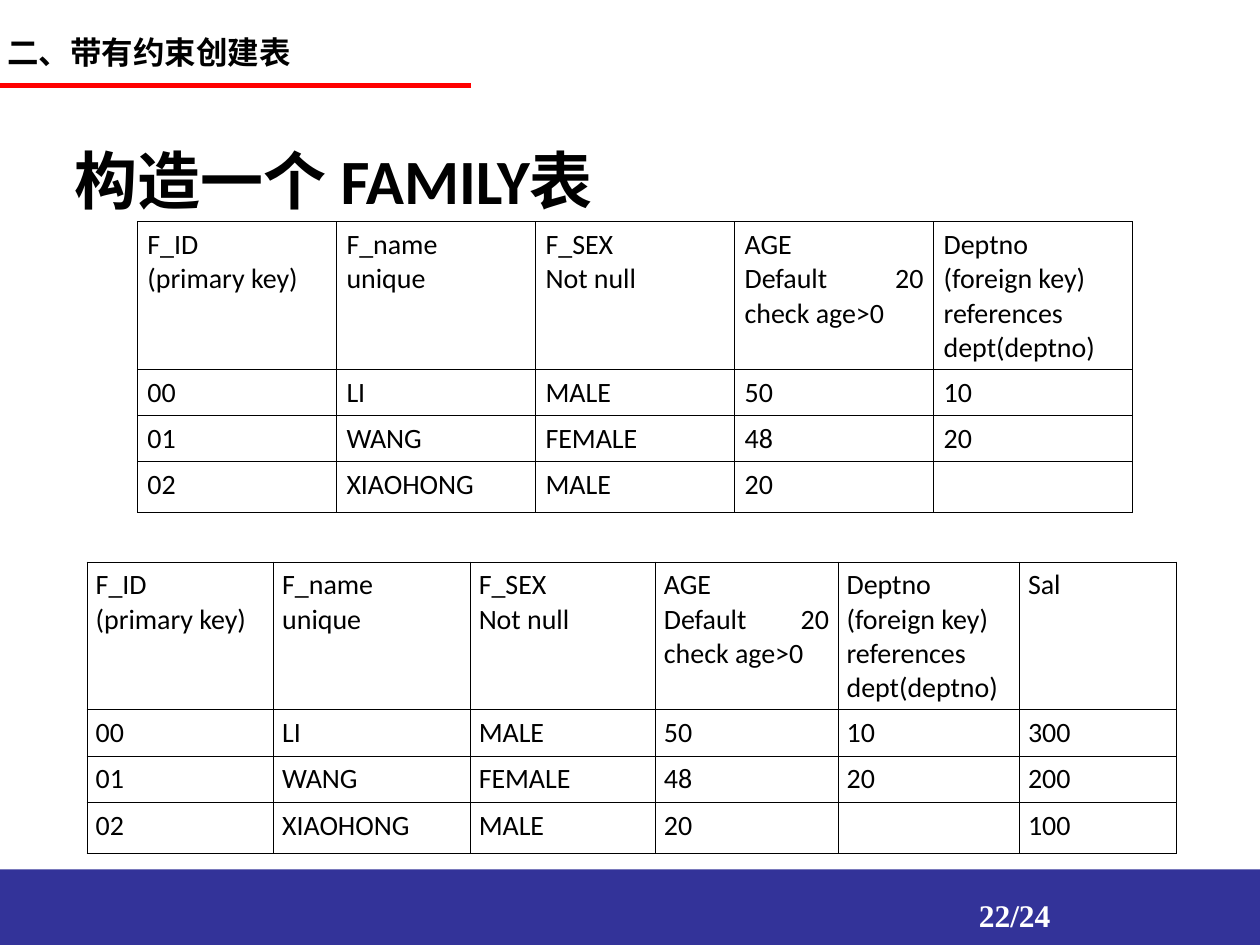
from lxml.etree import SubElement
from pptx import Presentation
from pptx.dml.color import RGBColor
from pptx.enum.shapes import MSO_CONNECTOR, MSO_SHAPE
from pptx.enum.text import MSO_ANCHOR, MSO_AUTO_SIZE, PP_ALIGN
from pptx.oxml.ns import qn
from pptx.util import Inches, Pt

NAVY = RGBColor(0x33, 0x33, 0x99)
RED = RGBColor(0xFF, 0x00, 0x00)
BLACK = RGBColor(0x00, 0x00, 0x00)
WHITE = RGBColor(0xFF, 0xFF, 0xFF)

TITLE_FORMAT = {"name": "Calibri", "size": Pt(36), "bold": True}
SECTION_FORMAT = {"name": "Arial", "size": Pt(18), "bold": True}
NUMBER_FORMAT = {"name": "Times New Roman", "size": Pt(18), "bold": True}
CELL_FORMAT = {"name": "Calibri", "size": Pt(16), "bold": False}

FAMILY_ROWS = [
    ["F_ID\n(primary key)", "F_name\nunique", "F_SEX\nNot null",
     "AGE\nDefault 20 check age>0",
     "Deptno\n(foreign key)\nreferences dept(deptno)"],
    ["00", "LI", "MALE", "50", "10"],
    ["01", "WANG", "FEMALE", "48", "20"],
    ["02", "XIAOHONG", "MALE", "20", ""],
]
SALARIES = ["Sal", "300", "200", "100"]


def add_span(para, text, formats, color):
    """Add one formatted run to a paragraph."""
    span = para.add_run()
    span.text = text
    for name, value in formats.items():
        setattr(span.font, name, value)
    span.font.color.rgb = color


def place_title(page, text, left, top, width, height):
    """Move and format the title placeholder."""
    title = page.shapes.title
    title.left, title.top, title.width, title.height = left, top, width, height
    frame = title.text_frame
    frame.word_wrap = False
    frame.auto_size = MSO_AUTO_SIZE.SHAPE_TO_FIT_TEXT
    frame.vertical_anchor = MSO_ANCHOR.MIDDLE
    frame.paragraphs[0].alignment = PP_ALIGN.LEFT
    add_span(frame.paragraphs[0], text, TITLE_FORMAT, BLACK)


def add_label(page, text, formats, color, left, top, width, height):
    """Add a wrapping single-paragraph text box."""
    box = page.shapes.add_textbox(left, top, width, height)
    box.text_frame.word_wrap = True
    add_span(box.text_frame.paragraphs[0], text, formats, color)


def add_section_header(page, text, left, top, width, height):
    """Add the section name and the red rule under it."""
    add_label(page, text, SECTION_FORMAT, BLACK, left, top, width, height)
    rule_top = top + Inches(0.47)
    rule = page.shapes.add_connector(
        MSO_CONNECTOR.STRAIGHT, 0, rule_top, Inches(3.74), rule_top)
    rule.line.color.rgb = RED
    rule.line.width = Pt(3)
    SubElement(rule._element.spPr, qn("a:effectLst"))


def add_footer(page, number, left, top, width, height):
    """Add the navy band with the page number."""
    band = page.shapes.add_shape(MSO_SHAPE.RECTANGLE, left, top, width, height)
    band.shadow.inherit = False
    band.fill.solid()
    band.fill.fore_color.rgb = NAVY
    band.line.fill.background()
    number_width = Inches(2.33)
    add_label(page, number, NUMBER_FORMAT, WHITE, left + width - number_width,
              top + Inches(0.16), number_width, Inches(0.52))


def add_borders(cell):
    """Draw a thin black line on each side of a cell."""
    properties = cell._tc.get_or_add_tcPr()
    for side in ("a:lnL", "a:lnR", "a:lnT", "a:lnB"):
        line = SubElement(properties, qn(side), w=str(Pt(0.45)))
        fill = SubElement(line, qn("a:solidFill"))
        SubElement(fill, qn("a:srgbClr"), val=str(BLACK))


def fill_cell(cell, text, side_margin):
    """Write justified lines into a bordered cell without fill."""
    cell.margin_left = cell.margin_right = side_margin
    add_borders(cell)
    cell.fill.background()
    frame = cell.text_frame
    for index, line in enumerate(text.split("\n")):
        para = frame.add_paragraph() if index else frame.paragraphs[0]
        para.alignment = PP_ALIGN.JUSTIFY
        add_span(para, line, CELL_FORMAT, BLACK)


def add_family_table(page, rows, left, top, widths, heights, side_margin):
    """Add a table with the given column widths and row heights."""
    table = page.shapes.add_table(
        len(rows), len(widths), left, top,
        Inches(sum(widths)), Inches(sum(heights))).table
    table.first_row = table.horz_banding = False
    for column, width in zip(table.columns, widths):
        column.width = Inches(width)
    for row, height, texts in zip(table.rows, heights, rows):
        row.height = Inches(height)
        for cell, text in zip(row.cells, texts):
            fill_cell(cell, text, side_margin)


def main():
    """Build the slide and save the deck."""
    deck = Presentation()
    deck.slide_width, deck.slide_height = Inches(10), Inches(7.5)
    page = deck.slides.add_slide(deck.slide_layouts[5])
    add_footer(page, "22/24", 0, Inches(6.9), deck.slide_width, Inches(0.6))
    add_section_header(page, "二、带有约束创建表",
                       Inches(-0.04), Inches(0.21), Inches(5.19), Inches(0.4))
    place_title(page, "构造一个 FAMILY表",
                Inches(0.49), Inches(1.07), Inches(4.64), Inches(0.7))
    add_family_table(page, FAMILY_ROWS, Inches(1.09), Inches(1.76),
                     [1.58] * 5, [1.17, 0.36, 0.36, 0.4], Inches(0.08))
    salary_rows = [row + [salary] for row, salary in zip(FAMILY_ROWS, SALARIES)]
    add_family_table(page, salary_rows, Inches(0.69), Inches(4.46),
                     [1.48, 1.56, 1.47, 1.45, 1.44, 1.25],
                     [1.17] + [0.37] * 3, Inches(0.07))
    deck.save("out.pptx")


if __name__ == "__main__":
    main()
